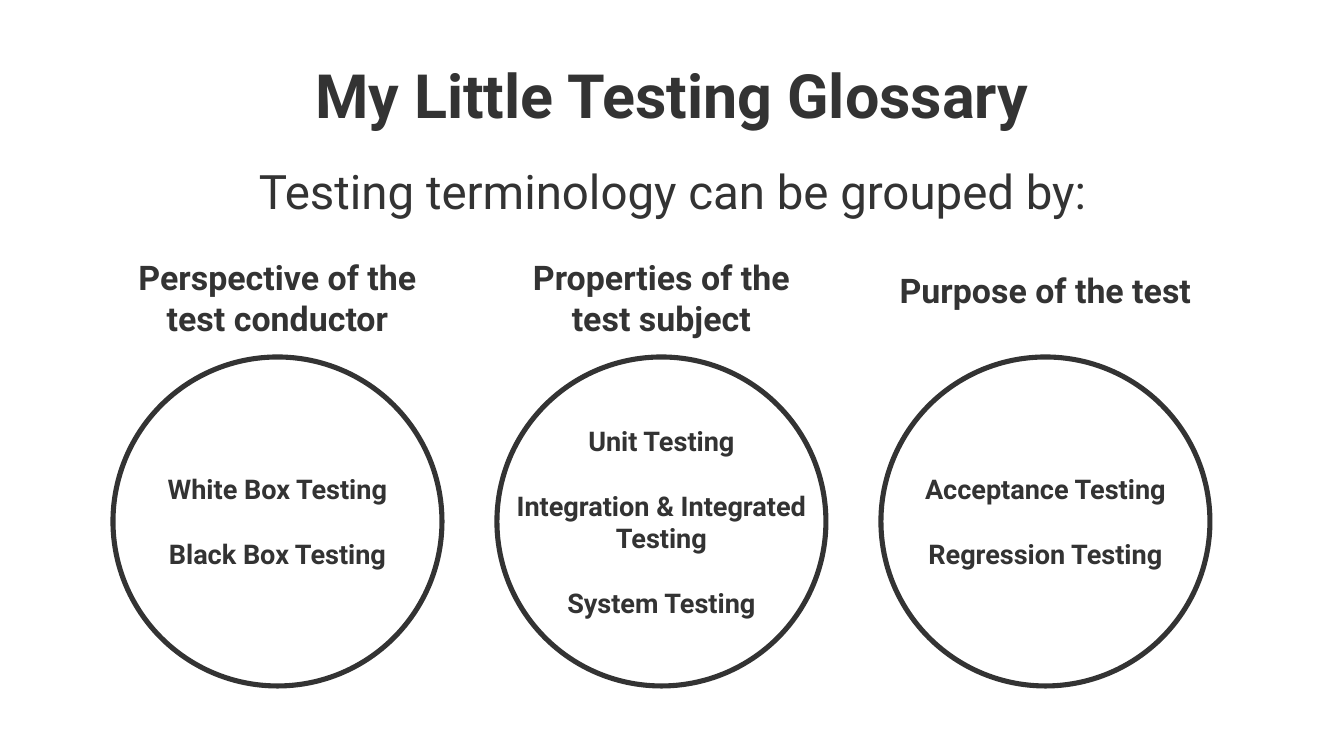
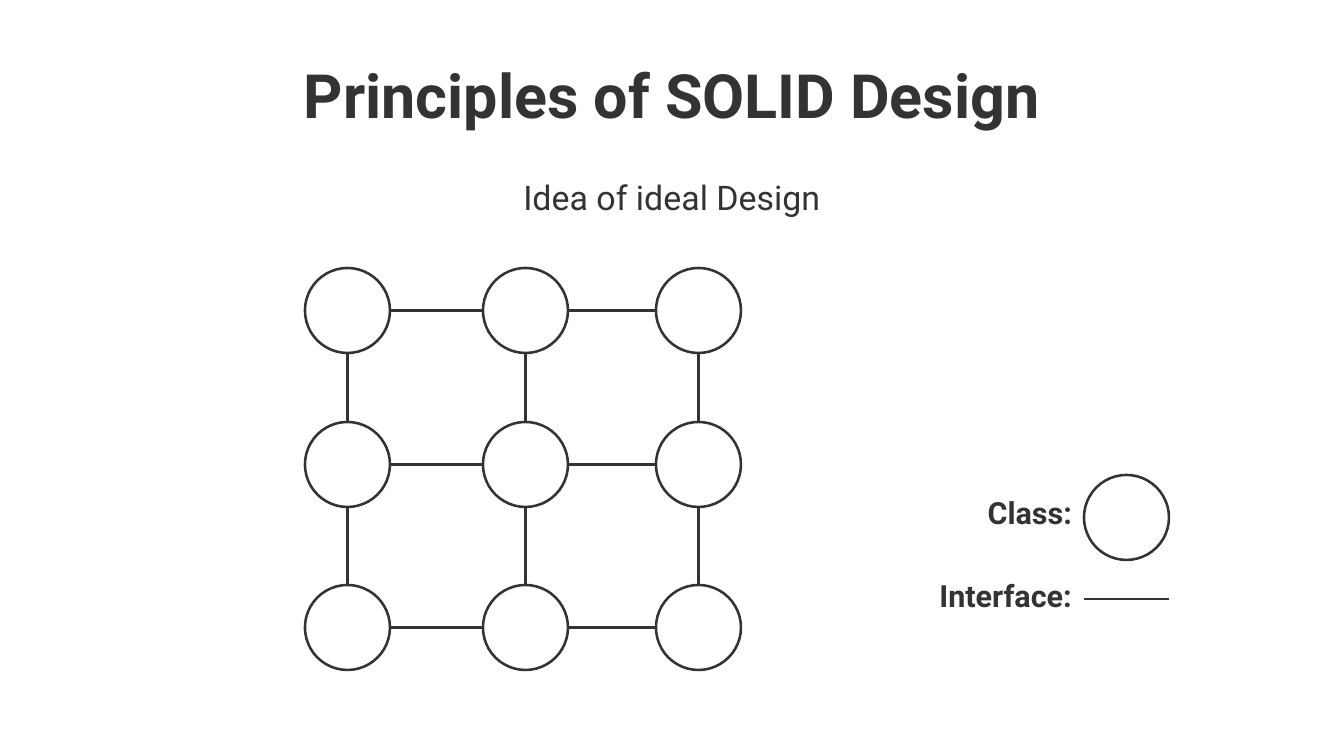
from itertools import product

from lxml import etree
from pptx import Presentation
from pptx.dml.color import RGBColor
from pptx.enum.shapes import MSO_CONNECTOR, MSO_SHAPE
from pptx.enum.text import MSO_ANCHOR, PP_ALIGN
from pptx.oxml.ns import qn
from pptx.util import Emu, Pt

PX = 914400 / 122
INK = RGBColor(0x33, 0x33, 0x33)
WHITE = RGBColor(0xFF, 0xFF, 0xFF)
FONT = "Roboto"
CENTER, RIGHT = PP_ALIGN.CENTER, PP_ALIGN.RIGHT
TOP, MIDDLE = MSO_ANCHOR.TOP, MSO_ANCHOR.MIDDLE
OVAL, STRAIGHT = MSO_SHAPE.OVAL, MSO_CONNECTOR.STRAIGHT
SITE_TOP, SITE_LEFT, SITE_BOTTOM, SITE_RIGHT = 0, 2, 4, 6

BUBBLE = 329
BUBBLE_TOP = 357
BUBBLE_LEFT = 113
BUBBLE_PITCH = 384
NODE = 85
NODE_COLUMNS = (305, 483, 656)
NODE_ROWS = (268, 422, 585)
LEGEND_LEFT = 1084

GROUPS = (
    ("Perspective of the test conductor", 251,
     ("White Box Testing", "Black Box Testing")),
    ("Properties of the test subject", 251,
     ("Unit Testing", "Integration & Integrated\nTesting", "System Testing")),
    ("Purpose of the test", 264,
     ("Acceptance Testing", "Regression Testing")),
)


def px(length):
    """Turn pixels into EMU."""
    return Emu(round(length * PX))


def write(frame, items, size=20, bold=True, align=CENTER, anchor=TOP,
          gap=0, wrap=True, inset=(12, 6)):
    """Fill a text frame with items, keeping a gap between them."""
    frame.word_wrap = wrap
    frame.vertical_anchor = anchor
    frame.margin_left = frame.margin_right = px(inset[0])
    frame.margin_top = frame.margin_bottom = px(inset[1])
    for item_no, item in enumerate(items):
        for line_no, line in enumerate(item.split("\n")):
            first = item_no == line_no == 0
            paragraph = frame.paragraphs[0] if first else frame.add_paragraph()
            paragraph.alignment = align
            if item_no and not line_no:
                paragraph.space_before = Pt(gap)
            run = paragraph.add_run()
            run.text = line
            run.font.name = FONT
            run.font.size = Pt(size)
            run.font.bold = bold
            run.font.color.rgb = INK


def add_label(shapes, box, text, **text_format):
    """Add a text box holding one paragraph."""
    label = shapes.add_textbox(*map(px, box))
    write(label.text_frame, [text], **text_format)


def add_circle(shapes, left, top, diameter, weight, fill=None):
    """Add an outlined circle."""
    circle = shapes.add_shape(OVAL, *map(px, (left, top, diameter, diameter)))
    circle.shadow.inherit = False
    if fill is None:
        circle.fill.background()
    else:
        circle.fill.solid()
        circle.fill.fore_color.rgb = fill
    circle.line.color.rgb = INK
    circle.line.width = Pt(weight)
    return circle


def add_node(shapes, left, top):
    """Add a circle that stands for a class."""
    return add_circle(shapes, left, top, NODE, 1.5, WHITE)


def add_interface(shapes, start, end):
    """Add a plain line between two points given in EMU."""
    interface = shapes.add_connector(STRAIGHT, *start, *end)
    interface.line.color.rgb = INK
    interface.line.width = Pt(1.5)
    etree.SubElement(interface._element.spPr, qn("a:effectLst"))
    return interface


def site_point(node, site):
    """Return the position of a connection site on a circle."""
    half_width, half_height = node.width // 2, node.height // 2
    across, down = {SITE_TOP: (1, 0), SITE_LEFT: (0, 1),
                    SITE_BOTTOM: (1, 2), SITE_RIGHT: (2, 1)}[site]
    return node.left + across * half_width, node.top + down * half_height


def join_nodes(shapes, start, start_site, end, end_site):
    """Link two circles with a line glued to their connection sites."""
    interface = add_interface(shapes, site_point(start, start_site),
                              site_point(end, end_site))
    glue = interface._element.find(".//" + qn("p:cNvCxnSpPr"))
    for tag, node, site in (("a:stCxn", start, start_site),
                            ("a:endCxn", end, end_site)):
        etree.SubElement(glue, qn(tag), id=str(node.shape_id), idx=str(site))


def add_titled_slide(deck, title):
    """Add a blank slide with the shared title style."""
    slide = deck.slides.add_slide(deck.slide_layouts[6])
    add_label(slide.shapes, (67, 31, 1210, 127), title,
              size=36, anchor=MIDDLE, inset=(0, 0))
    return slide


def build_glossary(deck):
    """Build the slide that groups the testing terms."""
    shapes = add_titled_slide(deck, "My Little Testing Glossary").shapes
    add_label(shapes, (142, 156, 1061, 76),
              "Testing terminology can be grouped by:", size=28, bold=False)
    for column, (heading, heading_top, terms) in enumerate(GROUPS):
        left = BUBBLE_LEFT + column * BUBBLE_PITCH
        bubble = add_circle(shapes, left, BUBBLE_TOP, BUBBLE, 3)
        write(bubble.text_frame, terms, size=16, anchor=MIDDLE, gap=19,
              wrap=False, inset=(15, 9))
        add_label(shapes, (left, heading_top, BUBBLE, 101), heading)


def build_class_grid(shapes):
    """Draw the grid of classes linked by interfaces."""
    nodes = {(row, column): add_node(shapes, left, top)
             for (row, top), (column, left)
             in product(enumerate(NODE_ROWS), enumerate(NODE_COLUMNS))}
    for (row, column), node in nodes.items():
        right = nodes.get((row, column + 1))
        below = nodes.get((row + 1, column))
        if right:
            join_nodes(shapes, node, SITE_RIGHT, right, SITE_LEFT)
        if below:
            join_nodes(shapes, node, SITE_BOTTOM, below, SITE_TOP)


def build_legend(shapes):
    """Draw the key for classes and interfaces."""
    add_node(shapes, LEGEND_LEFT, 475)
    add_interface(shapes, (px(LEGEND_LEFT), px(599)),
                  (px(LEGEND_LEFT + NODE), px(599)))
    for text, top in (("Class:", 488), ("Interface:", 571)):
        add_label(shapes, (LEGEND_LEFT - 171, top, 171, 52), text,
                  size=18, align=RIGHT)


def build_solid(deck):
    """Build the slide that shows the ideal design."""
    shapes = add_titled_slide(deck, "Principles of SOLID Design").shapes
    build_class_grid(shapes.add_group_shape().shapes)
    build_legend(shapes.add_group_shape().shapes)
    add_label(shapes, (67, 177, 1210, 67), "Idea of ideal Design",
              bold=False, inset=(0, 0))


def main():
    """Build and save the presentation."""
    deck = Presentation()
    deck.slide_width, deck.slide_height = px(1344), px(756)
    build_glossary(deck)
    build_solid(deck)
    deck.save("out.pptx")


if __name__ == "__main__":
    main()
